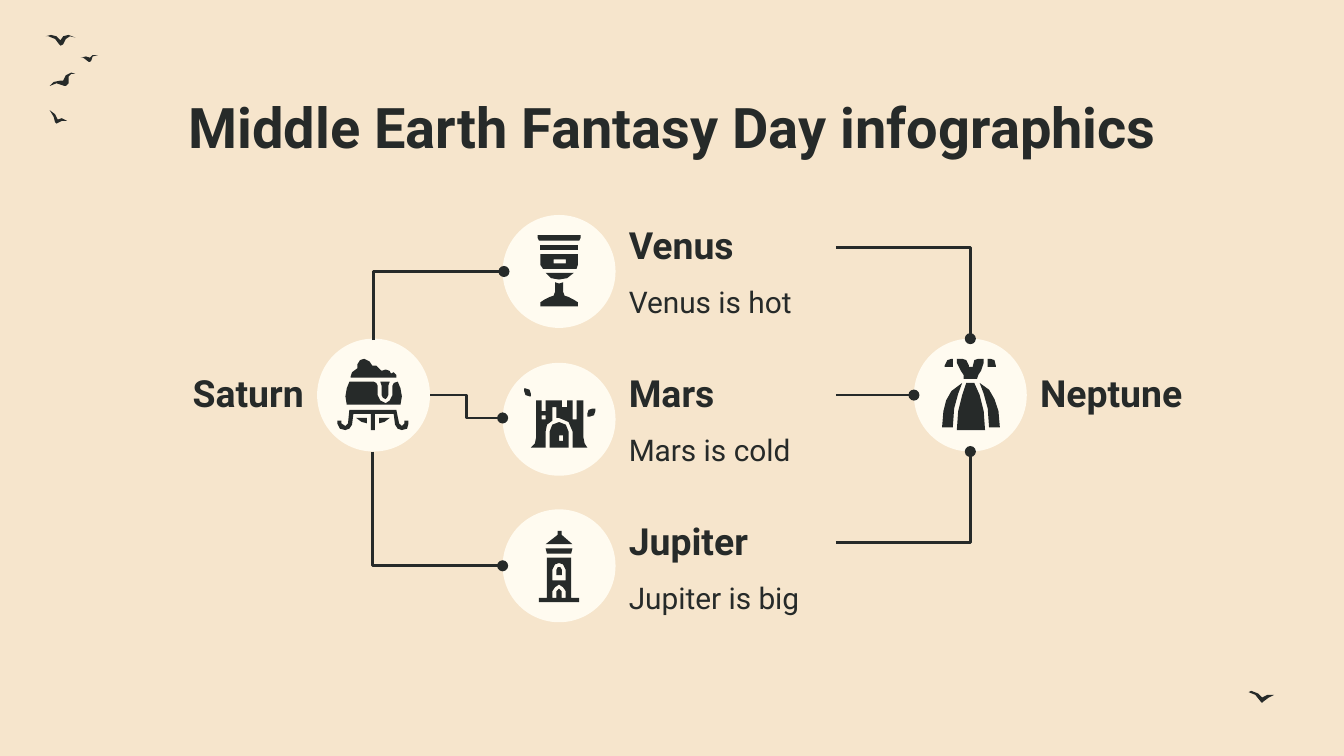
from lxml.etree import SubElement
from pptx import Presentation
from pptx.dml.color import RGBColor
from pptx.enum.shapes import MSO_CONNECTOR as Connector, MSO_SHAPE as Shape
from pptx.enum.text import MSO_ANCHOR as Anchor, PP_ALIGN as Align
from pptx.oxml.ns import qn
from pptx.util import Inches, Pt

COLORS = {"background": "F6E5CC", "circle": "FFFBF0", "ink": "262A29"}
INK = RGBColor.from_string(COLORS["ink"])
DIAMETER = 0.84
ROW_TOPS = (1.6, 2.7, 3.79)

presentation = Presentation()
presentation.slide_width = Inches(10)
presentation.slide_height = Inches(10) * 9 // 16
slide = presentation.slides.add_slide(presentation.slide_layouts[6])
slide.background.fill.solid()
slide.background.fill.fore_color.rgb = RGBColor.from_string(COLORS["background"])


def add_text(text, left, top, width, height, size, bold=True, align=Align.LEFT, anchor=Anchor.BOTTOM):
    box = slide.shapes.add_textbox(Inches(left), Inches(top), Inches(width), Inches(height))
    frame = box.text_frame
    frame.text = text
    frame.word_wrap = True
    frame.vertical_anchor = anchor
    frame.margin_left = frame.margin_right = Inches(0.1)
    frame.margin_top = frame.margin_bottom = Inches(0.1)
    paragraph = frame.paragraphs[0]
    paragraph.alignment = align
    font = paragraph.runs[0].font
    font.name, font.size, font.bold = "Roboto", Pt(size), bold
    font.color.rgb = INK


def add_outline(contours):
    start, *rest = contours[0]
    builder = slide.shapes.build_freeform(*start, scale=Inches(0.01))
    builder.add_line_segments(rest)
    for start, *rest in contours[1:]:
        builder.move_to(*start)
        builder.add_line_segments(rest)
    shape = builder.convert_to_shape()
    shape.shadow.inherit = False
    shape.fill.solid()
    shape.fill.fore_color.rgb = INK
    shape.line.fill.background()
    return shape


birds = [
    [(34, 27), (38, 26), (42, 27), (45, 30), (47, 27), (51, 26), (56, 28), (52, 27), (49, 29),
     (47, 33), (45, 34), (44, 33), (41, 29), (36, 27)],
    [(37, 64), (40, 61), (45, 60), (47, 60), (49, 56), (53, 54), (56, 55), (53, 55), (51, 57),
     (51, 62), (49, 64), (48, 64), (42, 62)],
    [(37, 82), (41, 85), (43, 89), (46, 88), (50, 90), (46, 90), (42, 92), (41, 91), (40, 87)],
    [(60, 43), (64, 42), (67, 43), (69, 41), (73, 41), (69, 42), (68, 45), (67, 46), (66, 46), (62, 43)],
    [(929, 515), (931, 514), (936, 516), (939, 519), (943, 517), (948, 517), (944, 519),
     (940, 522), (939, 523), (938, 522), (934, 517)],
]
for bird in birds:
    add_outline([bird])

add_text("Middle Earth Fantasy Day infographics", 0.79, 0.59, 8.43, 0.63, 30,
         align=Align.CENTER, anchor=Anchor.TOP)

circles = [(2.36, 2.52), (6.8, 2.52)] + [(3.74, top) for top in ROW_TOPS]
for left, top in circles:
    circle = slide.shapes.add_shape(Shape.OVAL, Inches(left), Inches(top), Inches(DIAMETER), Inches(DIAMETER))
    circle.shadow.inherit = False
    circle.fill.solid()
    circle.fill.fore_color.rgb = RGBColor.from_string(COLORS["circle"])
    circle.line.fill.background()

planets = [("Venus", "Venus is hot"), ("Mars", "Mars is cold"), ("Jupiter", "Jupiter is big")]
for row, (planet, fact) in enumerate(planets):
    top = 1.59 + 1.1 * row
    add_text(planet, 4.58, top, 1.65, 0.5, 20)
    add_text(fact, 4.58, top + 0.42, 1.65, 0.43, 16, bold=False, anchor=Anchor.TOP)
add_text("Saturn", 0.66, 2.69, 1.7, 0.5, 20, align=Align.RIGHT)
add_text("Neptune", 7.64, 2.69, 1.7, 0.5, 20)

connectors = [
    ("bentConnector2", 6.22, 1.84, 7.22, 2.52, 0),
    ("bentConnector3", 6.22, 2.94, 6.8, 2.94, 0),
    ("bentConnector2", 6.22, 4.04, 7.22, 3.36, 0),
    ("bentConnector2", 3.01, 1.79, 3.52, 2.76, 270),
    ("bentConnector2", 3.68, 3.3, 2.83, 4.27, 270),
    ("bentConnector3", 3.2, 2.94, 3.74, 3.11, 0),
]
for preset, x1, y1, x2, y2, rotation in connectors:
    connector = slide.shapes.add_connector(Connector.ELBOW, Inches(x1), Inches(y1), Inches(x2), Inches(y2))
    connector.line.color.rgb = INK
    connector.line.width = Pt(1.5)
    properties = connector.element.spPr
    properties.find(qn("a:prstGeom")).set("prst", preset)
    if rotation:
        properties.find(qn("a:xfrm")).set("rot", str(rotation * 60000))
    SubElement(properties.find(qn("a:ln")), qn("a:tailEnd"), type="oval")
    SubElement(properties, qn("a:effectLst"))

goblet = [
    [[(402, 189), (430, 189), (430, 193), (430, 197), (429, 200), (404, 200), (402, 197), (402, 193)],
     [(412, 193), (421, 193), (421, 196), (412, 196)]],
    [[(402, 182), (430, 182), (430, 186), (402, 186)]],
    [[(400, 175), (432, 175), (432, 177), (431, 179), (401, 179), (400, 177)]],
    [[(406, 203), (427, 203), (422, 207), (416, 208), (410, 207)]],
    [[(413, 210), (416, 211), (419, 210), (419, 217), (420, 220), (423, 221), (427, 223), (430, 225),
      (430, 228), (402, 228), (402, 225), (405, 223), (409, 221), (412, 220), (413, 217)]],
]
castle = [
    [[(409, 333), (409, 321), (411, 316), (416, 314), (421, 316), (423, 321), (423, 333)],
     [(416, 324), (419, 324), (419, 328), (416, 328)]],
    [[(390, 289), (391, 289), (394, 290), (395, 293), (395, 295), (394, 295), (391, 294), (390, 291)]],
    [[(399, 298), (403, 298), (403, 306), (406, 306), (406, 298), (418, 298), (418, 303), (422, 303),
      (422, 298), (426, 298), (426, 312), (429, 312), (429, 298), (434, 298), (434, 325), (435, 330),
      (437, 333), (426, 333), (426, 321), (423, 314), (416, 311), (414, 311), (414, 303), (411, 303),
      (411, 313), (407, 316), (406, 321), (406, 333), (395, 333), (398, 330), (399, 325)],
     [(403, 309), (406, 309), (406, 312), (403, 312)]],
    [[(443, 304), (443, 306), (442, 309), (439, 310), (437, 310), (437, 308), (438, 305), (441, 304)]],
]
tower = [
    [[(414, 428), (414, 424), (415, 422), (417, 422), (418, 424), (418, 428)]],
    [[(415, 395), (418, 395), (418, 398), (426, 405), (406, 405), (415, 398)]],
    [[(406, 408), (426, 408), (425, 412), (407, 412)]],
    [[(407, 415), (425, 415), (425, 445), (431, 445), (431, 448), (401, 448), (401, 445), (407, 445)],
     [(411, 432), (411, 424), (413, 420), (416, 419), (419, 420), (421, 424), (421, 432)],
     [(411, 445), (411, 440), (413, 437), (416, 435), (419, 437), (421, 440), (421, 445), (418, 445),
      (418, 440), (416, 438), (414, 440), (414, 445)]],
]
cauldron = [
    [[(260, 305), (295, 305), (297, 315), (299, 317), (301, 315), (301, 313), (304, 313), (304, 315),
      (303, 319), (299, 320), (296, 319), (294, 316), (293, 308), (279, 308), (279, 320), (276, 320),
      (276, 308), (263, 308), (262, 316), (260, 319), (257, 320), (253, 319), (251, 315), (251, 313),
      (254, 313), (254, 315), (257, 317), (259, 315)]],
    [[(282, 311), (290, 311), (286, 314), (282, 315)]],
    [[(265, 311), (273, 311), (273, 315), (269, 314)]],
    [[(261, 281), (261, 280), (262, 277), (266, 274), (266, 271), (268, 268), (271, 267), (275, 269),
      (277, 272), (280, 272), (284, 276), (287, 275), (290, 276), (291, 278), (293, 277), (295, 279),
      (295, 281)]],
    [[(260, 284), (278, 284), (280, 285), (281, 287), (281, 294), (283, 298), (287, 300), (290, 298),
      (292, 294), (292, 287), (293, 285), (296, 284), (298, 289), (299, 295), (298, 301), (258, 301),
      (257, 295), (258, 289)]],
    [[(283, 284), (290, 284), (289, 287), (289, 294), (288, 296), (287, 297), (285, 296), (284, 294),
      (284, 287)]],
]
gown = [
    [[(708, 267), (709, 267), (709, 273), (703, 273), (703, 272), (705, 268)],
     [(735, 267), (737, 267), (740, 268), (741, 272), (741, 273), (735, 273)],
     [(712, 267), (716, 267), (719, 268), (721, 272), (721, 273), (724, 273), (724, 272), (725, 268),
      (728, 267), (732, 267), (732, 270), (730, 276), (728, 279), (727, 282), (717, 282), (717, 279),
      (715, 276), (712, 270)],
     [(716, 285), (713, 293), (710, 304), (709, 318), (701, 318), (702, 306), (704, 298), (708, 291)],
     [(729, 285), (736, 290), (740, 297), (743, 306), (744, 318), (736, 318), (735, 304), (732, 293)],
     [(719, 285), (725, 285), (729, 294), (732, 306), (733, 320), (712, 320), (713, 306), (716, 294)]],
]
for icon in (goblet, castle, tower, cauldron, gown):
    pieces = [add_outline(contours) for contours in icon]
    if len(pieces) > 1:
        slide.shapes.add_group_shape(pieces)

presentation.save("out.pptx")
